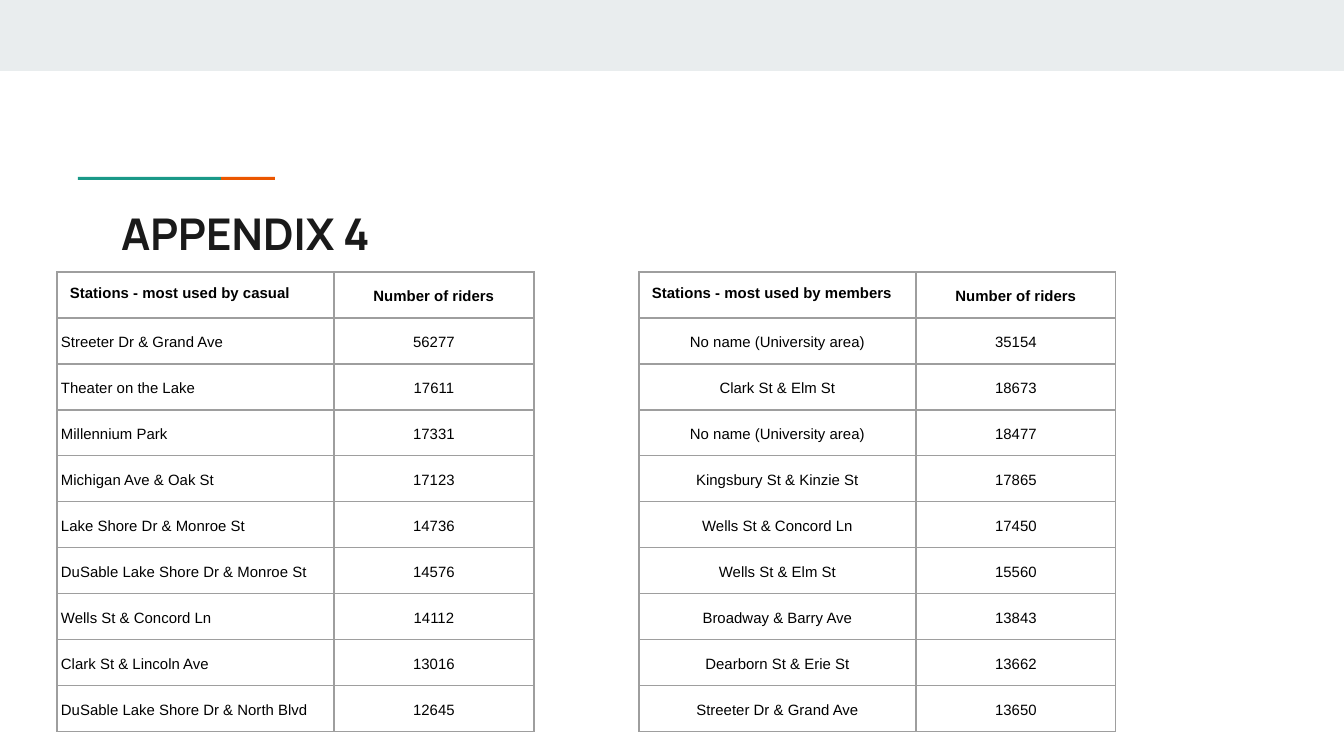
from lxml.etree import SubElement
from pptx import Presentation
from pptx.dml.color import RGBColor
from pptx.enum.shapes import MSO_SHAPE
from pptx.enum.text import MSO_ANCHOR, MSO_AUTO_SIZE, PP_ALIGN
from pptx.oxml.ns import qn
from pptx.util import Pt

SCALE = 914400 / 134.4

BAND = RGBColor(0xE9, 0xED, 0xEE)
GREEN = RGBColor(0x1A, 0x99, 0x88)
ORANGE = RGBColor(0xEB, 0x56, 0x00)
INK = RGBColor(0x1A, 0x1A, 0x1A)
BLACK = RGBColor(0, 0, 0)
GREY = RGBColor(0x9E, 0x9E, 0x9E)

COLS = (277, 200)
ROW = 46

CASUAL = (
    ("Stations - most used by casual", "Number of riders"),
    ("Streeter Dr & Grand Ave", "56277"),
    ("Theater on the Lake", "17611"),
    ("Millennium Park", "17331"),
    ("Michigan Ave & Oak St", "17123"),
    ("Lake Shore Dr & Monroe St", "14736"),
    ("DuSable Lake Shore Dr & Monroe St", "14576"),
    ("Wells St & Concord Ln", "14112"),
    ("Clark St & Lincoln Ave", "13016"),
    ("DuSable Lake Shore Dr & North Blvd", "12645"),
)
MEMBERS = (
    ("Stations - most used by members", "Number of riders"),
    ("No name (University area)", "35154"),
    ("Clark St & Elm St", "18673"),
    ("No name (University area)", "18477"),
    ("Kingsbury St & Kinzie St", "17865"),
    ("Wells St & Concord Ln", "17450"),
    ("Wells St & Elm St", "15560"),
    ("Broadway & Barry Ave", "13843"),
    ("Dearborn St & Erie St", "13662"),
    ("Streeter Dr & Grand Ave", "13650"),
)


def px(n):
    return round(n * SCALE)


def apply(target, **values):
    for name, value in values.items():
        setattr(target, name, value)


def write(par, text, color, **font):
    run = par.add_run()
    run.text = text
    apply(run.font, **font)
    run.font.color.rgb = color


def add_bar(slide, box, color):
    bar = slide.shapes.add_shape(MSO_SHAPE.RECTANGLE, *map(px, box))
    bar.shadow.inherit = False
    bar.fill.solid()
    bar.fill.fore_color.rgb = color
    bar.line.fill.background()


def set_title(slide, text):
    title = slide.shapes.title
    apply(title, left=px(108), top=px(194), width=px(1130), height=px(79))
    frame = title.text_frame
    pad = px(13)
    apply(frame, margin_left=pad, margin_right=pad, margin_top=pad,
          margin_bottom=pad, word_wrap=True, auto_size=MSO_AUTO_SIZE.NONE,
          vertical_anchor=MSO_ANCHOR.MIDDLE)
    par = frame.paragraphs[0]
    par.alignment = PP_ALIGN.LEFT
    write(par, text, INK, name="Manrope", size=Pt(23.4), bold=True)


def add_edges(cell):
    """Draw a thin grey line on all four sides of the cell."""
    props = cell._tc.get_or_add_tcPr()
    for side in ("a:lnL", "a:lnR", "a:lnT", "a:lnB"):
        line = SubElement(props, qn(side), w=str(Pt(0.75)))
        fill = SubElement(line, qn("a:solidFill"))
        SubElement(fill, qn("a:srgbClr"), val=str(GREY))


def fill_cell(cell, text, head, align, space):
    side, pad = px(13 if head else 4), px(13)
    apply(cell, margin_left=side, margin_right=side, margin_top=pad,
          margin_bottom=pad,
          vertical_anchor=MSO_ANCHOR.TOP if head else MSO_ANCHOR.BOTTOM)
    add_edges(cell)
    cell.fill.background()
    par = cell.text_frame.paragraphs[0]
    apply(par, alignment=align, line_spacing=space)
    write(par, text, BLACK, name="Arial", size=Pt(8), bold=head)


def add_grid(slide, left, data, align):
    """Add a station table; align is for the station names below the head."""
    box = (left, 272, sum(COLS), ROW * len(data))
    table = slide.shapes.add_table(
        len(data), len(COLS), *map(px, box)).table
    apply(table, first_row=False, horz_banding=False)
    for col, width in zip(table.columns, COLS):
        col.width = px(width)
    for r, (name, count) in enumerate(data):
        head = r == 0
        table.rows[r].height = px(ROW)
        fill_cell(table.cell(r, 0), name, head,
                  PP_ALIGN.LEFT if head else align, 1.0 if head else 1.15)
        fill_cell(table.cell(r, 1), count, head, PP_ALIGN.CENTER, 1.15)


def main():
    deck = Presentation()
    apply(deck, slide_width=px(1344), slide_height=px(756))
    slide = deck.slides.add_slide(deck.slide_layouts[5])
    add_bar(slide, (0, 0, 1344, 71), BAND)
    add_bar(slide, (221, 177, 54, 3), ORANGE)
    add_bar(slide, (78, 177, 143, 3), GREEN)
    set_title(slide, "APPENDIX 4")
    add_grid(slide, 57, CASUAL, PP_ALIGN.LEFT)
    add_grid(slide, 639, MEMBERS, PP_ALIGN.CENTER)
    deck.save("out.pptx")


if __name__ == "__main__":
    main()
